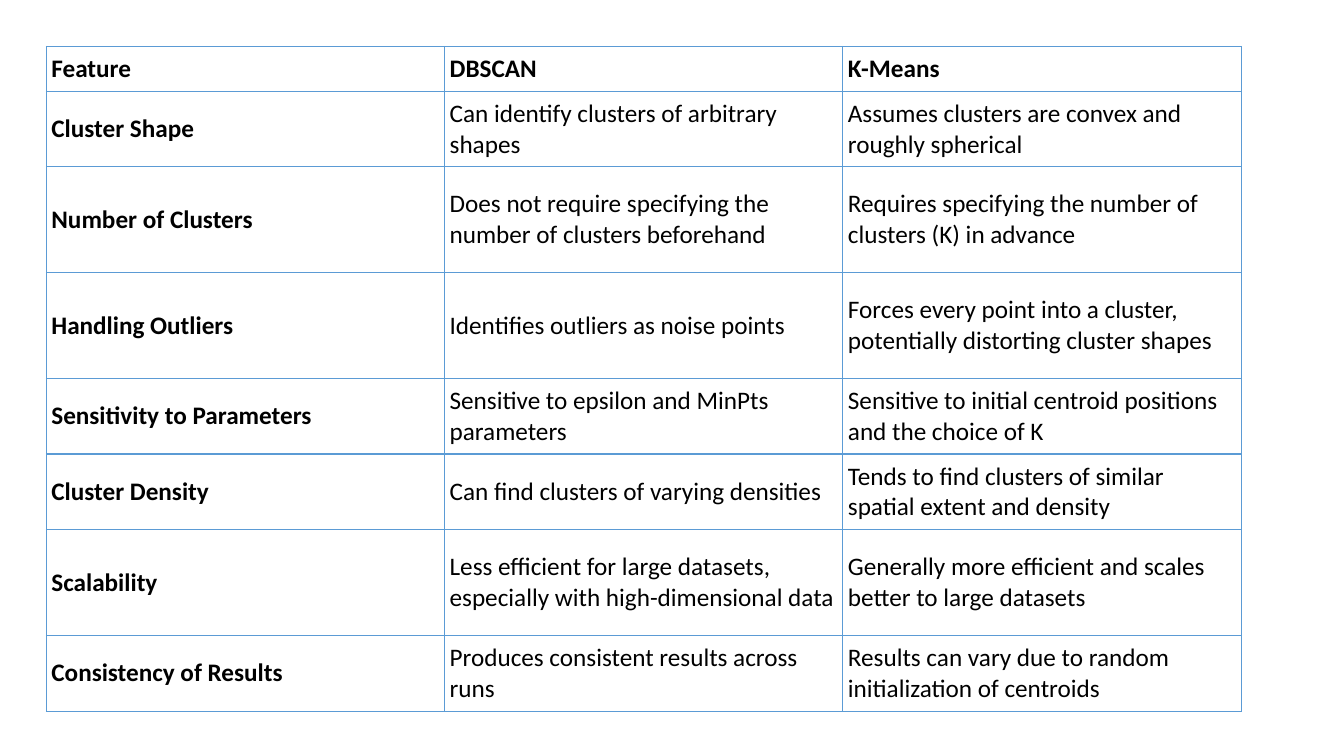
from dataclasses import dataclass

from lxml import etree
from pptx import Presentation
from pptx.dml.color import RGBColor
from pptx.enum.text import MSO_ANCHOR
from pptx.oxml.ns import qn
from pptx.util import Inches, Pt

MIDDLE = MSO_ANCHOR.MIDDLE
BLANK_LAYOUT = 6


@dataclass(frozen=True)
class Theme:
    font: str = "Calibri"
    size: int = 18
    text: str = "000000"
    border: str = "5B9BD5"
    border_width: int = 1


THEME = Theme()

LEFT, TOP = 0.46, 0.46
COLUMN_WIDTH = 3.95
ROW_HEIGHTS = [0.44, 0.75, 1.05, 1.05, 0.75, 0.75, 1.05, 0.75]
CELL_FORMAT = {
    "vertical_anchor": MIDDLE,
    "margin_left": Inches(0.05),
    "margin_right": Inches(0.05),
    "margin_top": Inches(0.07),
    "margin_bottom": Inches(0.07),
}

COMPARISON = [
    ("Feature", "DBSCAN", "K-Means"),
    ("Cluster Shape",
     "Can identify clusters of arbitrary shapes",
     "Assumes clusters are convex and roughly spherical"),
    ("Number of Clusters",
     "Does not require specifying the number of clusters beforehand",
     "Requires specifying the number of clusters (K) in advance"),
    ("Handling Outliers",
     "Identifies outliers as noise points",
     "Forces every point into a cluster, potentially distorting cluster shapes"),
    ("Sensitivity to Parameters",
     "Sensitive to epsilon and MinPts parameters",
     "Sensitive to initial centroid positions and the choice of K"),
    ("Cluster Density",
     "Can find clusters of varying densities",
     "Tends to find clusters of similar spatial extent and density"),
    ("Scalability",
     "Less efficient for large datasets, especially with high-dimensional data",
     "Generally more efficient and scales better to large datasets"),
    ("Consistency of Results",
     "Produces consistent results across runs",
     "Results can vary due to random initialization of centroids"),
]


def set_attributes(target, values):
    for name, value in values.items():
        setattr(target, name, value)


def add_borders(cell):
    """Draw all four sides; the schema wants them ahead of the cell's fill."""
    tc_pr = cell._tc.get_or_add_tcPr()
    for position, side in enumerate(("a:lnL", "a:lnR", "a:lnT", "a:lnB")):
        line = etree.Element(qn(side), w=str(Pt(THEME.border_width)))
        fill = etree.SubElement(line, qn("a:solidFill"))
        etree.SubElement(fill, qn("a:srgbClr"), val=THEME.border)
        tc_pr.insert(position, line)


def fill_cell(cell, text, bold):
    set_attributes(cell, CELL_FORMAT)
    cell.fill.background()
    add_borders(cell)
    r = cell.text_frame.paragraphs[0].add_run()
    r.text = text
    set_attributes(r.font, {"name": THEME.font, "size": Pt(THEME.size), "bold": bold})
    r.font.color.rgb = RGBColor.from_string(THEME.text)


def add_comparison_table(s, rows):
    columns = len(rows[0])
    table = s.shapes.add_table(
        len(rows), columns, Inches(LEFT), Inches(TOP),
        Inches(COLUMN_WIDTH * columns), Inches(sum(ROW_HEIGHTS))).table
    set_attributes(table, {"first_row": False, "horz_banding": False})
    for column in table.columns:
        column.width = Inches(COLUMN_WIDTH)
    for i, (row, height) in enumerate(zip(rows, ROW_HEIGHTS)):
        table.rows[i].height = Inches(height)
        for j, text in enumerate(row):
            fill_cell(table.cell(i, j), text, bold=i == 0 or j == 0)


def main():
    prs = Presentation()
    set_attributes(prs, {"slide_width": Inches(13.33), "slide_height": Inches(7.5)})
    s = prs.slides.add_slide(prs.slide_layouts[BLANK_LAYOUT])
    add_comparison_table(s, COMPARISON)
    prs.save("out.pptx")


if __name__ == "__main__":
    main()
